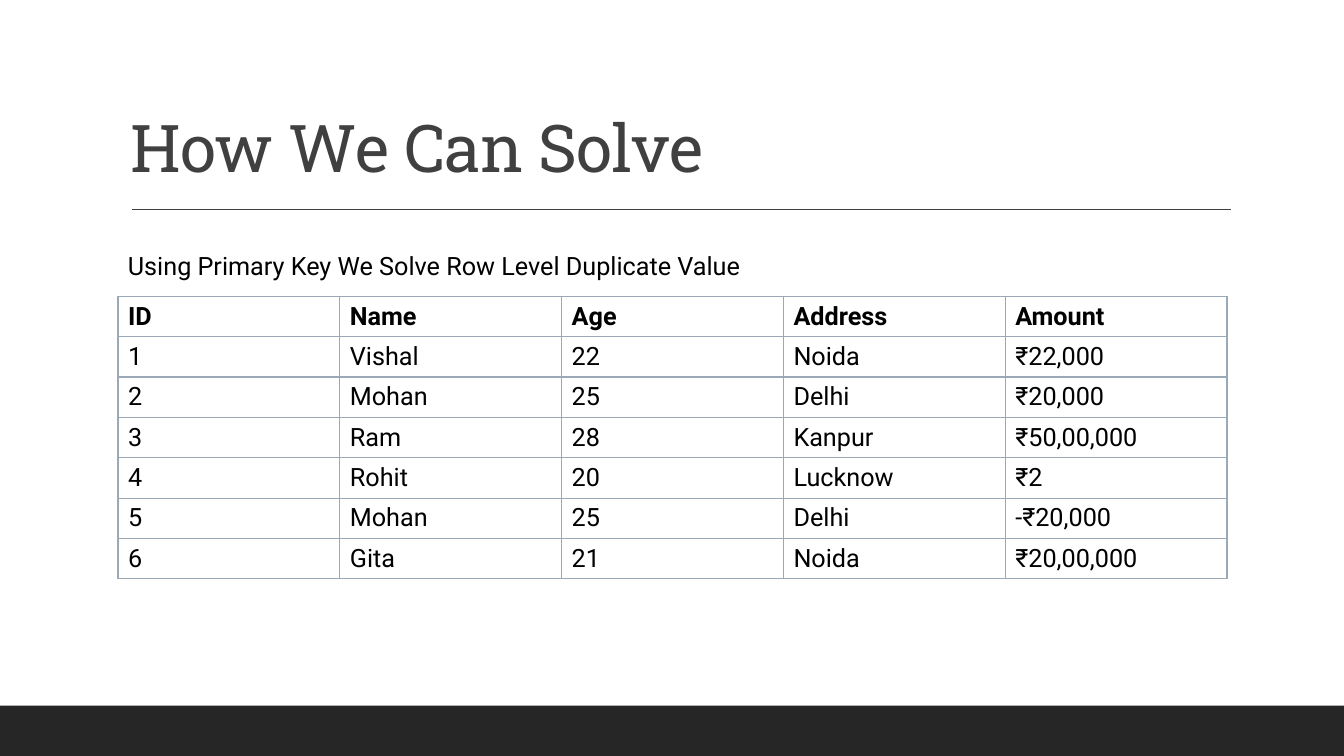
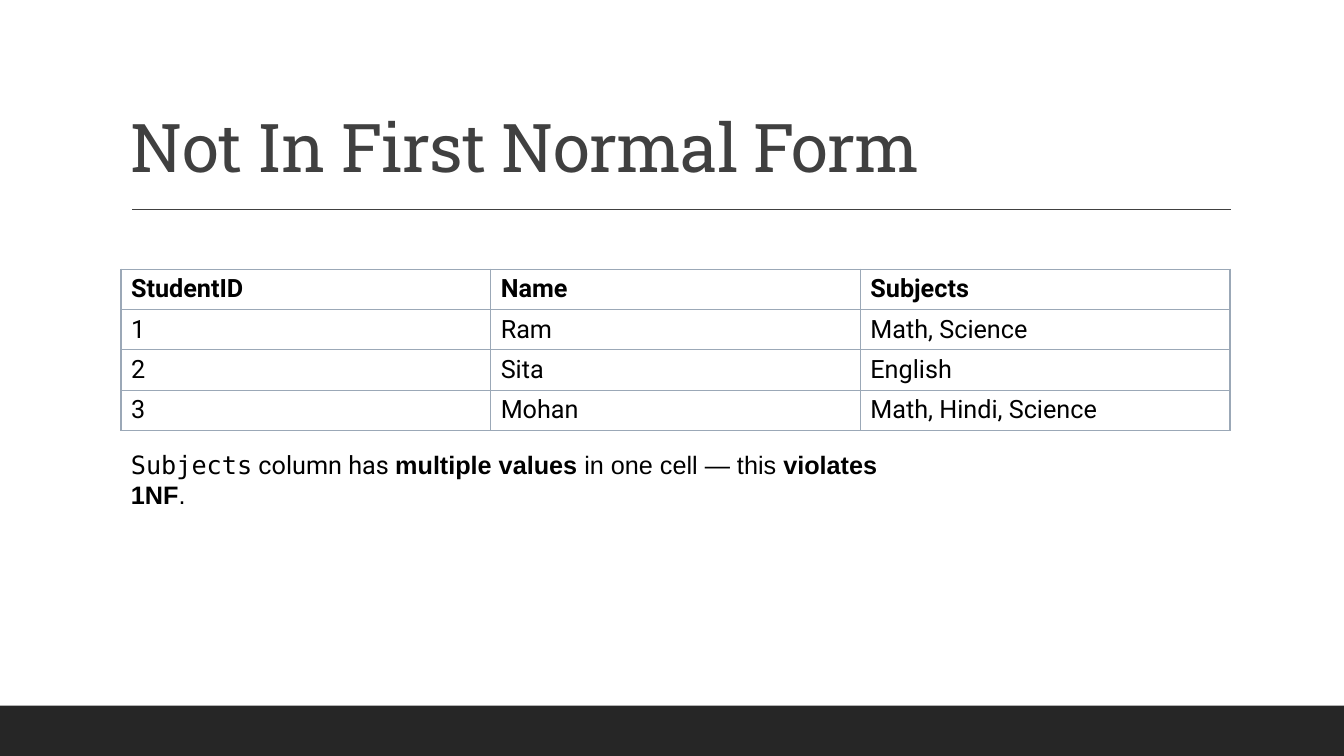
from lxml.etree import SubElement
from pptx import Presentation
from pptx.dml.color import RGBColor
from pptx.enum.shapes import MSO_CONNECTOR, MSO_SHAPE
from pptx.enum.text import MSO_ANCHOR, MSO_AUTO_SIZE
from pptx.oxml import parse_xml
from pptx.oxml.ns import nsdecls, qn
from pptx.util import Inches, Pt

COLORS = {"band": "262626", "title": "404040", "text": "000000", "border": "9BA8B7"}
TITLE_FONT, BODY_FONT = "Roboto Slab", "Roboto"
MONO_FONT, NOTE_FONT = "DejaVu Sans Mono", "Arial"
BODY_SIZE = 18
SLIDE_WIDTH, SLIDE_HEIGHT = 13.33, 7.5
BAND_HEIGHT = 0.5
ROW_HEIGHT = 0.4
TITLE_BOX = (1.2, 0.31, 11, 1.59)
RULE_LEFT, RULE_RIGHT, RULE_TOP = 1.31, 12.21, 2.08

PEOPLE = [
    ("ID", "Name", "Age", "Address", "Amount"),
    ("1", "Vishal", "22", "Noida", "₹22,000"),
    ("2", "Mohan", "25", "Delhi", "₹20,000"),
    ("3", "Ram", "28", "Kanpur", "₹50,00,000"),
    ("4", "Rohit", "20", "Lucknow", "₹2"),
    ("5", "Mohan", "25", "Delhi", "-₹20,000"),
    ("6", "Gita", "21", "Noida", "₹20,00,000"),
]
STUDENTS = [
    ("StudentID", "Name", "Subjects"),
    ("1", "Ram", "Math, Science"),
    ("2", "Sita", "English"),
    ("3", "Mohan", "Math, Hindi, Science"),
]
# Each run: text, font, bold
KEY_NOTE = [("Using Primary Key We Solve Row Level Duplicate Value", BODY_FONT, False)]
SUBJECTS_NOTE = [
    ("Subjects", MONO_FONT, False),
    (" column has ", BODY_FONT, False),
    ("multiple values", NOTE_FONT, True),
    (" in one cell — this ", NOTE_FONT, False),
    ("violates 1NF", NOTE_FONT, True),
    (".", NOTE_FONT, False),
]


def color(name):
    return RGBColor.from_string(COLORS[name])


def style_font(font, name, size, color_name, bold=False):
    font.name, font.size, font.bold = name, Pt(size), bold
    font.color.rgb = color(color_name)


def add_text_box(slide, box, anchor):
    frame = slide.shapes.add_textbox(*map(Inches, box)).text_frame
    frame.word_wrap = True
    frame.vertical_anchor = anchor
    return frame


def add_base(presentation, title, title_size):
    """Slide with the shared footer band, rule and title."""
    slide = presentation.slides.add_slide(presentation.slide_layouts[6])

    # Footer band
    band = slide.shapes.add_shape(
        MSO_SHAPE.RECTANGLE, 0, Inches(SLIDE_HEIGHT - BAND_HEIGHT),
        Inches(SLIDE_WIDTH), Inches(BAND_HEIGHT))
    band.shadow.inherit = False
    band.fill.solid()
    band.fill.fore_color.rgb = color("band")
    band.line.fill.background()

    # Rule below the title
    rule = slide.shapes.add_connector(
        MSO_CONNECTOR.STRAIGHT, Inches(RULE_LEFT), Inches(RULE_TOP),
        Inches(RULE_RIGHT), Inches(RULE_TOP))
    rule.line.color.rgb = color("title")
    rule.line.width = Pt(1)
    SubElement(rule._element.spPr, qn("a:effectLst"))

    # Title
    paragraph = add_text_box(slide, TITLE_BOX, MSO_ANCHOR.BOTTOM).paragraphs[0]
    paragraph.line_spacing = 0.9
    run = paragraph.add_run()
    run.text = title
    style_font(paragraph.font, TITLE_FONT, title_size, "title")
    run.font._element.set("spc", "-50")
    return slide


def add_note(slide, box, runs, anchor=MSO_ANCHOR.TOP):
    frame = add_text_box(slide, box, anchor)
    frame.auto_size = MSO_AUTO_SIZE.SHAPE_TO_FIT_TEXT
    paragraph = frame.paragraphs[0]
    for text, font_name, bold in runs:
        run = paragraph.add_run()
        run.text = text
        style_font(run.font, font_name, BODY_SIZE, "text", bold)


def add_borders(cell):
    properties = cell._tc.get_or_add_tcPr()
    for index, side in enumerate(("lnL", "lnR", "lnT", "lnB")):
        properties.insert(index, parse_xml(
            f'<a:{side} {nsdecls("a")} w="{Pt(1)}"><a:solidFill>'
            f'<a:srgbClr val="{COLORS["border"]}"/></a:solidFill></a:{side}>'))


def add_grid(slide, left, top, width, rows):
    """Bordered table with equal columns and a bold first row."""
    column_count = len(rows[0])
    table = slide.shapes.add_table(
        len(rows), column_count, Inches(left), Inches(top),
        Inches(width), Inches(ROW_HEIGHT * len(rows))).table
    table.horz_banding = False
    for column in table.columns:
        column.width = Inches(width / column_count)
    for row_index, values in enumerate(rows):
        table.rows[row_index].height = Inches(ROW_HEIGHT)
        for column_index, value in enumerate(values):
            cell = table.cell(row_index, column_index)
            cell.text = value
            cell.vertical_anchor = MSO_ANCHOR.MIDDLE
            cell.fill.background()
            add_borders(cell)
            style_font(cell.text_frame.paragraphs[0].font, BODY_FONT,
                       BODY_SIZE, "text", row_index == 0)


def add_primary_key_slide(presentation):
    slide = add_base(presentation, "How We Can Solve", 47)
    add_grid(slide, 1.17, 2.94, 11, PEOPLE)
    add_note(slide, (1.17, 2.43, 6.41, 0.4), KEY_NOTE)


def add_normal_form_slide(presentation):
    slide = add_base(presentation, "Not In First Normal Form", 48)
    add_note(slide, (1.2, 4.56, 8.04, 0.4), SUBJECTS_NOTE, MSO_ANCHOR.MIDDLE)
    add_grid(slide, 1.2, 2.67, 11, STUDENTS)


def main():
    presentation = Presentation()
    presentation.slide_width = Inches(SLIDE_WIDTH)
    presentation.slide_height = Inches(SLIDE_HEIGHT)
    add_primary_key_slide(presentation)
    add_normal_form_slide(presentation)
    presentation.save("out.pptx")


if __name__ == "__main__":
    main()
